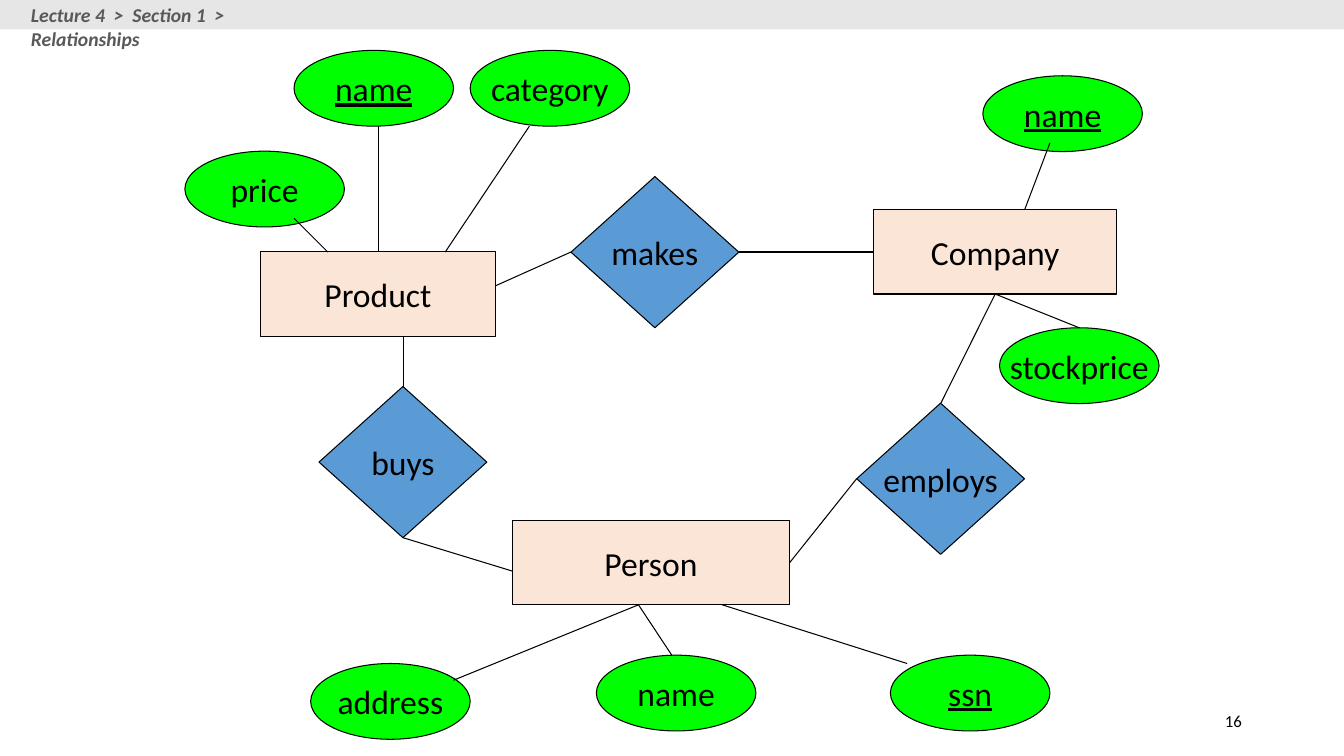
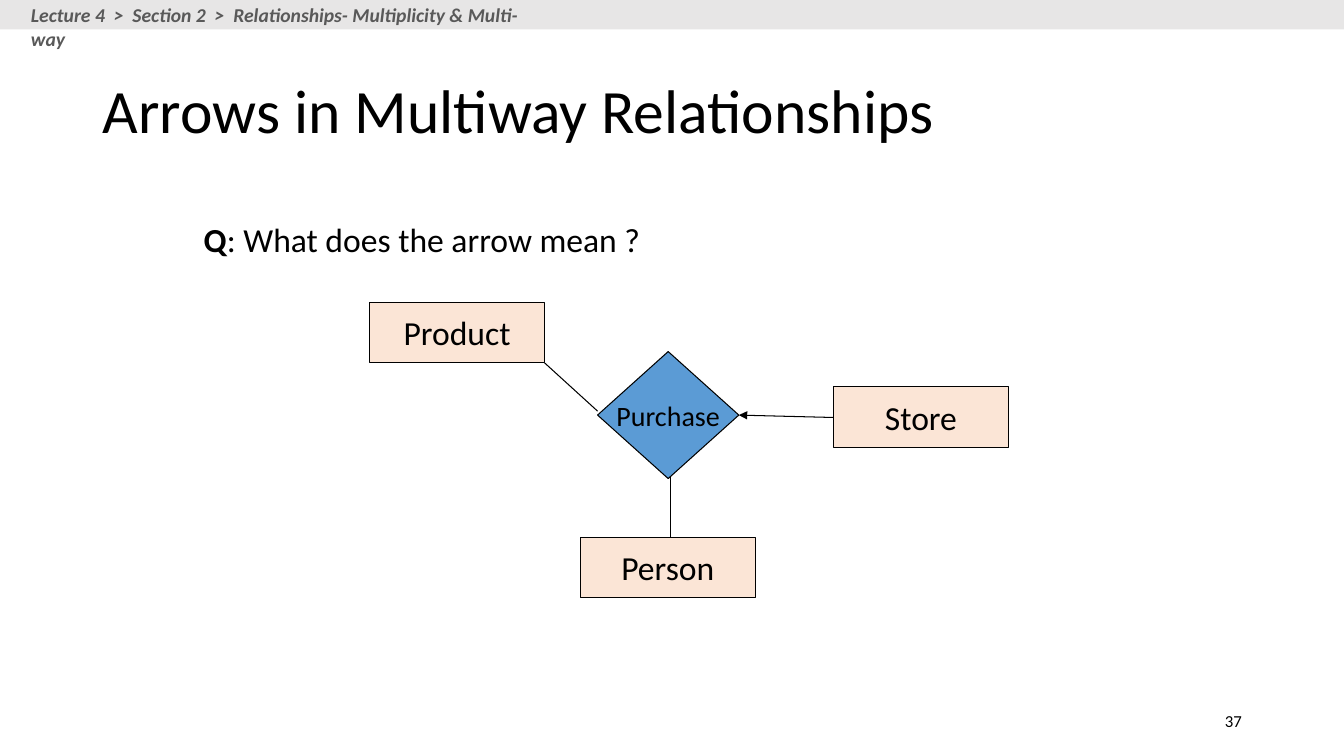
from dataclasses import dataclass
from lxml.etree import SubElement
from pptx import Presentation
from pptx.dml.color import RGBColor as RGB
from pptx.enum.shapes import MSO_CONNECTOR as Link, MSO_SHAPE as Kind
from pptx.enum.text import MSO_ANCHOR as Anchor, MSO_AUTO_SIZE as Auto, PP_ALIGN as Align
from pptx.oxml.ns import qn
from pptx.util import Cm, Pt


# Colours and type sizes
@dataclass(frozen=True)
class Theme:
    font: str = "Calibri"
    ink: str = "000000"
    mute: str = "595959"
    band: str = "E7E6E6"
    box: str = "FBE5D6"
    gem: str = "5B9BD5"
    oval: str = "00FF00"
    title: int = 44
    text: int = 24
    label: int = 20
    head: int = 14
    foot: int = 12
    edge: float = 0.75


WIDE, HIGH = 33.87, 19.05


def grid(*steps):
    """Turn steps of a twelfth of an inch into centimetres."""
    return [round(step * 2.54 / 12, 2) for step in steps]


class Deck:
    def __init__(self, theme):
        self.theme = theme
        self.file = Presentation()
        self.file.slide_width, self.file.slide_height = Cm(WIDE), Cm(HIGH)
        self.slide = None

    def start(self, layout):
        self.slide = self.file.slides.add_slide(self.file.slide_layouts[layout])

    # Text
    def fill_text(self, frame, parts, size, color=None, align=Align.LEFT,
                  anchor=Anchor.MIDDLE, wrap=True):
        form = {"word_wrap": wrap, "auto_size": Auto.NONE, "vertical_anchor": anchor}
        for key, value in form.items():
            setattr(frame, key, value)
        para = frame.paragraphs[0]
        para.alignment = align
        for words, style in parts:
            run = para.add_run()
            run.text = words
            look = {"name": self.theme.font, "size": Pt(size), **style}
            for key, value in look.items():
                setattr(run.font, key, value)
            run.font.color.rgb = RGB.from_string(color or self.theme.ink)
        return para

    def note(self, area, words, size, **form):
        style = form.pop("style", {})
        frame = self.slide.shapes.add_textbox(*map(Cm, area)).text_frame
        self.fill_text(frame, [(words, style)], size, **form)

    def holder(self, index, area, parts, size, **form):
        shape = self.slide.placeholders[index]
        keys = ("left", "top", "width", "height")
        for key, value in zip(keys, map(Cm, area)):
            setattr(shape, key, value)
        return self.fill_text(shape.text_frame, parts, size, **form)

    def title(self, words):
        para = self.holder(0, (2.34, 1.02, 29.21, 3.68), [(words, {})],
                           self.theme.title)
        para.line_spacing = 0.9

    def body(self, area, parts):
        para = self.holder(1, area, parts, self.theme.text, anchor=Anchor.TOP)
        props = para._p.get_or_add_pPr()
        props.set("marL", str(Cm(0.64)))
        props.set("indent", str(-Cm(0.64)))
        SubElement(props, qn("a:buNone"))
        para.line_spacing, para.space_before = 0.9, Pt(0)

    # Shapes
    def shape(self, kind, area, fill, edge=True):
        item = self.slide.shapes.add_shape(kind, *map(Cm, area))
        item.shadow.inherit = False
        item.fill.solid()
        item.fill.fore_color.rgb = RGB.from_string(fill)
        if edge:
            item.line.color.rgb = RGB.from_string(self.theme.ink)
            item.line.width = Pt(self.theme.edge)
        else:
            item.line.fill.background()
        return item

    def node(self, kind, area, fill, words, size=None, key=False):
        frame = self.shape(kind, area, fill).text_frame
        style = {"underline": True} if key else {}
        self.fill_text(frame, [(words, style)], size or self.theme.text,
                       align=Align.CENTER, wrap=False)

    def box(self, area, words):
        self.node(Kind.RECTANGLE, area, self.theme.box, words)

    def gem(self, area, words, size=None):
        self.node(Kind.DIAMOND, area, self.theme.gem, words, size)

    def oval(self, area, words, key=False):
        self.node(Kind.OVAL, area, self.theme.oval, words, key=key)

    def line(self, ends, arrow=False):
        item = self.slide.shapes.add_connector(Link.STRAIGHT, *map(Cm, ends))
        item.line.color.rgb = RGB.from_string(self.theme.ink)
        item.line.width = Pt(self.theme.edge)
        if arrow:
            SubElement(item.line._get_or_add_ln(), qn("a:tailEnd"), type="triangle")
        SubElement(item._element.spPr, qn("a:effectLst"))

    # Top band and page number
    def frame(self, words, width, page):
        look = self.theme
        self.shape(Kind.RECTANGLE, (0, 0, WIDE, 0.74), look.band, edge=False)
        self.note((0.53, -0.05, width, 0.86), words, look.head, color=look.mute,
                  anchor=Anchor.TOP, style={"bold": True, "italic": True})
        self.note((23.93, 17.65, 7.62, 1.02), page, look.foot, align=Align.RIGHT)


def model(deck):
    deck.start(6)

    # Relationships
    for left, top, words in ((68, 21, "makes"), (38, 46, "buys"), (102, 48, "employs")):
        deck.gem(grid(left, top, 20, 18), words)

    # Entities
    for left, top, width, words in ((31, 30, 28, "Product"), (61, 62, 33, "Person"),
                                    (104, 25, 29, "Company")):
        deck.box(grid(left, top, width, 10), words)

    # Attributes, with keys underlined
    for left, top, words, key in (
            (35, 6, "name", True), (56, 6, "category", False), (22, 18, "price", False),
            (37, 79, "address", False), (71, 78, "name", False), (106, 78, "ssn", True),
            (119, 39, "stockprice", False), (117, 9, "name", True)):
        deck.oval(grid(left, top, 19, 9), words, key)

    # Links
    for ends in (
            (88, 30, 104, 30), (68, 30, 59, 34), (48, 46, 48, 40), (48, 64, 61, 68),
            (102, 57, 94, 67), (112, 48, 118.5, 35), (39, 30, 35, 26), (45, 30, 45, 15),
            (53, 30, 63, 15), (76, 72, 54, 81), (76, 72, 80, 78), (86, 72, 108, 79),
            (122, 25, 125, 17), (118.5, 35, 128.5, 39)):
        deck.line(grid(*ends))

    deck.frame("Lecture 4  >  Section 1  >  Relationships", 8.2, "16")


def arrows(deck):
    deck.start(1)
    deck.title("Arrows in Multiway Relationships")
    deck.body((4.88, 5.51, 12, 1.19),
              [("Q", {"bold": True}), (": What does the arrow mean ?", {"bold": False})])

    # Diagram
    deck.gem((15.06, 8.86, 3.56, 3.2), "Purchase", deck.theme.label)
    for left, top, words in ((9.32, 7.62, "Product"), (14.63, 13.54, "Person"),
                             (21.01, 9.75, "Store")):
        deck.box((left, top, 4.4, 1.52), words)
    deck.line((16.89, 12.01, 16.89, 13.54))
    deck.line((13.72, 9.14, 15.06, 10.36))
    deck.line((21.01, 10.52, 18.62, 10.46), arrow=True)

    deck.frame("Lecture 4  >  Section 2  >  Relationships- Multiplicity & Multi-way",
               13.23, "37")


def main():
    deck = Deck(Theme())
    model(deck)
    arrows(deck)
    deck.file.save("out.pptx")


if __name__ == "__main__":
    main()
